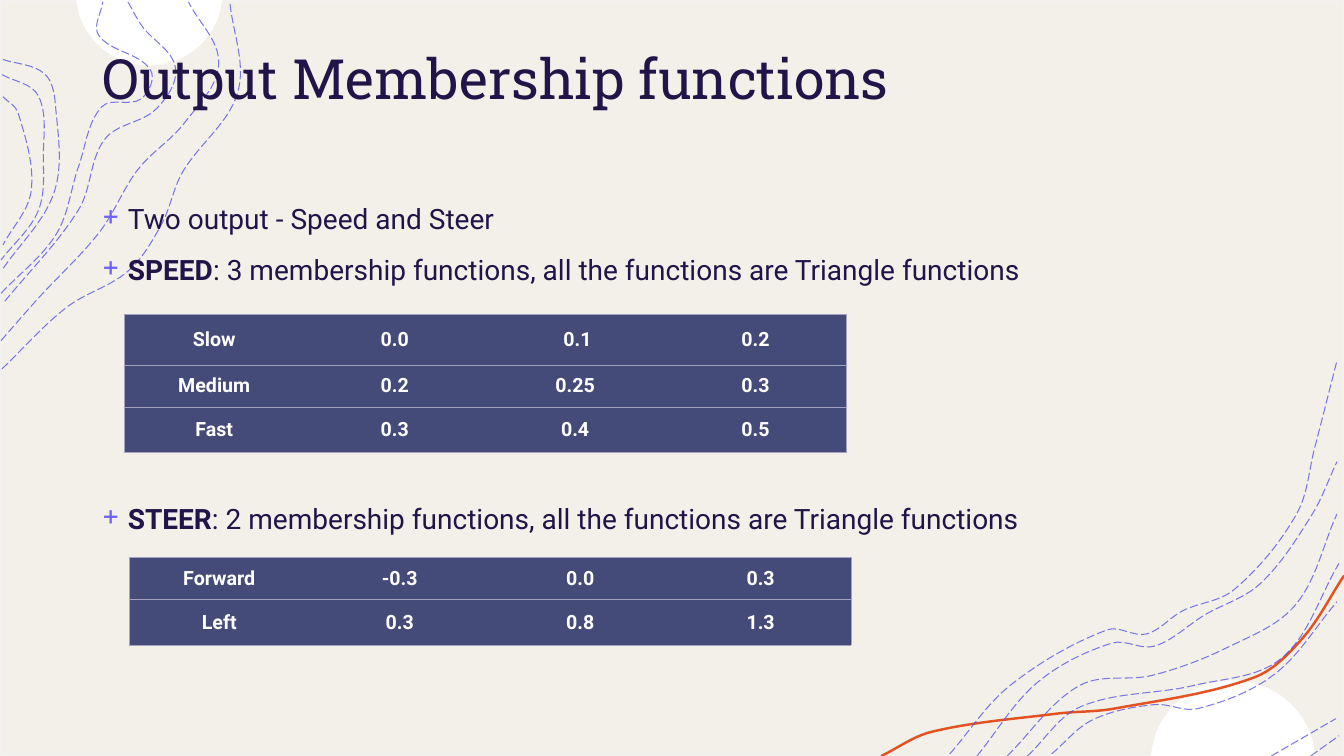
from math import acos, cos, hypot, sin

from lxml.etree import SubElement
from pptx import Presentation
from pptx.dml.color import RGBColor
from pptx.enum.dml import MSO_LINE
from pptx.enum.shapes import MSO_SHAPE
from pptx.enum.text import MSO_ANCHOR, PP_ALIGN
from pptx.oxml.ns import qn
from pptx.util import Inches, Pt

# ---- Content ----
COLORS = {"paper": "F3F0E9", "edge": "F2F2F2", "white": "FFFFFF", "orange": "E45221",
          "contour": "4D4EE6", "ink": "201449", "bullet": "7162FE",
          "cell": "454B78", "border": "A3A3C1"}
TITLE = "Output Membership functions"
# (bold lead, rest, space before in points)
BULLETS = [
    ("", "Two output - Speed and Steer", 0),
    ("SPEED", ": 3 membership functions, all the functions are Triangle functions", 10),
    ("STEER", ": 2 membership functions, all the functions are Triangle functions", 151.5),
]
# (left, top, row heights, rows)
TABLES = [
    (1.23, 3.12, [0.5, 0.42, 0.45], [["Slow", "0.0", " 0.1", "0.2"],
                                     ["Medium", "0.2", "0.25", "0.3"],
                                     ["Fast", "0.3", "0.4", "0.5"]]),
    (1.28, 5.53, [0.42, 0.45], [["Forward", "-0.3", "0.0", "0.3"],
                                ["Left", "0.3", "0.8", "1.3"]]),
]
COLUMN_WIDTH = 1.79
# White discs cut by the slide edge: (centre x, centre y, radius, edge y)
DISCS = [(1.48, -0.08, 0.73, 0), (12.23, 7.57, 0.82, 7.5)]
ORANGE_CURVE = [(8.74, 7.5), (9.24, 7.26), (10.48, 7.08), (11.05, 7.03),
                (12.44, 6.72), (12.92, 6.33), (13.33, 5.71)]
CONTOURS = [
    # Top left
    [(0.02, 3.66), (0.66, 3.05), (1.27, 2.69), (1.6, 2.23), (1.81, 1.71),
     (2.36, 0.91), (2.28, 0.02)],
    [(0.01, 3.38), (0.38, 2.96), (0.99, 2.3), (1.37, 1.68), (1.83, 1.22),
     (2.17, 0.63), (1.87, 0.02)],
    [(1.27, 0.02), (1.41, 0.26), (1.74, 0.67), (1.55, 1.08), (1.04, 1.38),
     (0.78, 2.08), (0.03, 3.01)],
    [(0.01, 2.91), (0.56, 2.32), (0.78, 1.65), (1.01, 1.06), (1.4, 0.98),
     (1.49, 0.69), (0.98, 0.35), (1.02, 0.02)],
    [(0.03, 0.59), (0.44, 0.73), (0.55, 1.04), (0.54, 1.9), (0.02, 2.68)],
    [(0.02, 0.74), (0.38, 0.95), (0.43, 1.55), (0.38, 2.09), (0.01, 2.58)],
    [(0.03, 0.96), (0.18, 1.12), (0.31, 1.89), (0.03, 2.43)],
    # Bottom right
    [(9.42, 7.48), (10.02, 6.8), (10.98, 6.25), (11.37, 6.29), (11.73, 6.06),
     (12.24, 5.85), (12.86, 5.1), (13.04, 4.44), (13.26, 3.58)],
    [(9.69, 7.5), (10.29, 6.77), (11.03, 6.38), (11.45, 6.41), (11.95, 6.1),
     (12.5, 5.79), (13.01, 5.11), (13.26, 4.58)],
    [(13, 7.5), (13.28, 7.3)],
    [(12.61, 7.5), (13.25, 7.13)],
    [(10.43, 7.48), (10.84, 7.14), (11.45, 6.99), (11.88, 7.03), (12.64, 6.69),
     (13.26, 5.97)],
    [(10.19, 7.5), (10.72, 7.01), (11.84, 6.8), (12.71, 6.53), (13.28, 5.59)],
    [(9.99, 7.5), (10.71, 6.8), (11.43, 6.7), (12.16, 6.43), (12.85, 6), (13.26, 5.1)],
]
TITLE_FONT = {"name": "Roboto Slab", "size": Pt(39.6), "color": "ink"}
BODY_FONT = {"name": "Roboto", "size": Pt(20), "color": "ink"}
CELL_FONT = {"name": "Roboto", "size": Pt(14), "color": "white", "bold": True}


# ---- Helpers ----
def rgb(color):
    return RGBColor.from_string(COLORS[color])


def add_run(paragraph, text, **formats):
    run = paragraph.add_run()
    run.text = text
    for attribute, value in formats.items():
        if attribute == "color":
            run.font.color.rgb = rgb(value)
        else:
            setattr(run.font, attribute, value)


def add_text_frame(left, top, width, height, **formats):
    frame = slide.shapes.add_textbox(*map(Inches, (left, top, width, height))).text_frame
    frame.word_wrap = True
    for attribute, value in formats.items():
        setattr(frame, attribute, value)
    return frame


def add_curve(knots, close=False):
    """Freeform whose segments bend smoothly through the knots."""
    spots = [(Inches(x), Inches(y)) for x, y in knots]
    builder = slide.shapes.build_freeform(*spots[0])
    builder.add_line_segments(spots[1:], close=close)
    curve = builder.convert_to_shape()
    curve.shadow.inherit = False
    segments = list(curve.element.iter(qn("a:lnTo")))
    origin_x, origin_y = curve.left, curve.top

    def handle(i, length):
        (x0, y0), (x1, y1) = spots[max(i - 1, 0)], spots[min(i + 1, len(spots) - 1)]
        scale = length / 3 / hypot(x1 - x0, y1 - y0)
        return (x1 - x0) * scale, (y1 - y0) * scale

    # The closing line, if any, stays straight
    for i, segment in enumerate(segments[:len(spots) - 1]):
        (ax, ay), (bx, by) = spots[i], spots[i + 1]
        length = hypot(bx - ax, by - ay)
        (ux, uy), (vx, vy) = handle(i, length), handle(i + 1, length)
        segment.tag = qn("a:cubicBezTo")
        for n, (x, y) in enumerate([(ax + ux, ay + uy), (bx - vx, by - vy)]):
            point = segment.makeelement(qn("a:pt"), {"x": str(round(x - origin_x)),
                                                     "y": str(round(y - origin_y))})
            segment.insert(n, point)
    return curve


def add_stroke(knots, color, width):
    stroke = add_curve(knots)
    stroke.fill.background()
    stroke.line.color.rgb = rgb(color)
    stroke.line.width = Pt(width)
    return stroke


def set_border(cell, side, position, visible):
    properties = cell._tc.get_or_add_tcPr()
    line = properties.makeelement(qn(f"a:ln{side}"), {"w": str(Pt(0.5))})
    fill = SubElement(line, qn("a:solidFill" if visible else "a:noFill"))
    if visible:
        SubElement(fill, qn("a:srgbClr"), val=COLORS["border"])
    properties.insert(position, line)


deck = Presentation()
deck.slide_width, deck.slide_height = Inches(13.33), Inches(7.5)
slide = deck.slides.add_slide(deck.slide_layouts[6])

# ---- Backdrop ----
paper = slide.shapes.add_shape(MSO_SHAPE.RECTANGLE, 0, 0, deck.slide_width, deck.slide_height)
paper.shadow.inherit = False
paper.fill.solid()
paper.fill.fore_color.rgb = rgb("paper")
paper.line.color.rgb = rgb("edge")
paper.line.width = Pt(1)

for center_x, center_y, radius, edge in DISCS:
    side = 1 if center_y < edge else -1
    half = acos(abs(edge - center_y) / radius)
    angles = [half * step / 6 for step in range(-6, 7)]
    disc = add_curve([(center_x + radius * sin(a), center_y + side * radius * cos(a))
                      for a in angles], close=True)
    disc.fill.solid()
    disc.fill.fore_color.rgb = rgb("white")
    disc.line.fill.background()

add_stroke(ORANGE_CURVE, "orange", 1.75)
for knots in CONTOURS:
    contour = add_stroke(knots, "contour", 0.75)
    contour.line.dash_style = MSO_LINE.LONG_DASH
    ink = contour.element.spPr.find(qn("a:ln")).find(".//" + qn("a:srgbClr"))
    SubElement(ink, qn("a:alpha"), val="75000")

# ---- Title and bullets ----
heading = add_text_frame(0.92, 0.4, 11.5, 0.73, vertical_anchor=MSO_ANCHOR.MIDDLE)
add_run(heading.paragraphs[0], TITLE, **TITLE_FONT)

body = add_text_frame(0.92, 1.97, 11.5, 4.79, margin_top=0)
for i, (lead, rest, space) in enumerate(BULLETS):
    bullet = body.add_paragraph() if i else body.paragraphs[0]
    bullet.line_spacing, bullet.space_before = 1.1, Pt(space)
    properties = bullet._p.get_or_add_pPr()
    properties.set("marL", str(Inches(0.25)))
    properties.set("indent", str(-Inches(0.25)))
    SubElement(SubElement(properties, qn("a:buClr")), qn("a:srgbClr"), val=COLORS["bullet"])
    SubElement(properties, qn("a:buChar"), char="+")
    if lead:
        add_run(bullet, lead, bold=True, **BODY_FONT)
    add_run(bullet, rest, **BODY_FONT)

# ---- Tables ----
for left, top, heights, rows in TABLES:
    columns = len(rows[0])
    grid = slide.shapes.add_table(len(rows), columns, Inches(left), Inches(top),
                                  Inches(COLUMN_WIDTH * columns), Inches(sum(heights))).table
    grid.first_row = grid.horz_banding = False
    for column in grid.columns:
        column.width = Inches(COLUMN_WIDTH)
    for r, values in enumerate(rows):
        grid.rows[r].height = Inches(heights[r])
        for c, value in enumerate(values):
            cell = grid.cell(r, c)
            cell.vertical_anchor = MSO_ANCHOR.MIDDLE
            cell.fill.solid()
            cell.fill.fore_color.rgb = rgb("cell")
            borders = {"L": c == 0, "R": c == columns - 1, "T": True, "B": True}
            for position, (side, visible) in enumerate(borders.items()):
                set_border(cell, side, position, visible)
            label = cell.text_frame.paragraphs[0]
            label.alignment = PP_ALIGN.CENTER
            add_run(label, value, **CELL_FONT)

deck.save("out.pptx")
